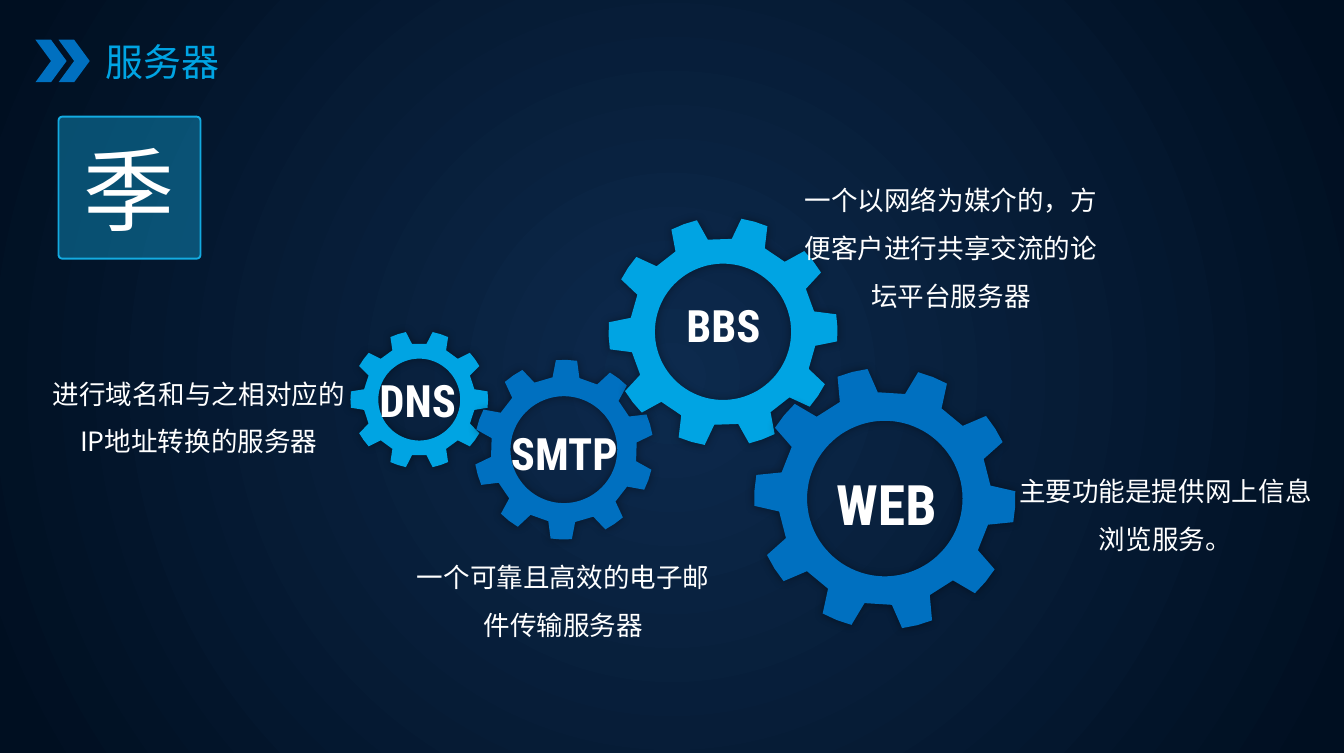
from dataclasses import dataclass
from math import cos, radians, sin

from lxml import etree
from pptx import Presentation
from pptx.dml.color import RGBColor
from pptx.enum.shapes import MSO_SHAPE
from pptx.enum.text import MSO_ANCHOR, PP_ALIGN
from pptx.oxml.ns import qn
from pptx.util import Cm, Pt

CHEVRON = MSO_SHAPE.CHEVRON
ROUNDED = MSO_SHAPE.ROUNDED_RECTANGLE
MIDDLE = MSO_ANCHOR.MIDDLE
LEFT = PP_ALIGN.LEFT
CENTER = PP_ALIGN.CENTER


@dataclass(frozen=True)
class Theme:
    glow: str = "0D2A4D"
    night: str = "000F21"
    sky: str = "00A4E3"
    blue: str = "0070C0"
    cyan: str = "13ABE1"
    white: str = "FFFFFF"
    black: str = "000000"
    label_font: str = "Roboto Condensed"
    title_font: str = "Arial"
    body_font: str = "Noto Sans CJK SC"
    body_size: float = 14
    title_size: float = 20
    label_size: float = 23.5
    large_label_size: float = 29.4
    badge_size: float = 48


THEME = Theme()

TEETH = 10
ROOT_RATIO = 0.815
HOLE_RATIO = 0.595
TIP_HALF_ANGLE = 6.8
ROOT_HALF_ANGLE = 10.6

GEARS = [
    (7.8, 7.43, 1.28, 0, THEME.sky),
    (10.49, 8.36, 1.67, 19.7, THEME.blue),
    (13.45, 6.17, 2.13, -2, THEME.sky),
    (16.46, 9.27, 2.43, 3.6, THEME.blue),
]
LABELS = [
    ("DNS", 5.51, 6.81, 4.52, THEME.label_size),
    ("SMTP", 8.1, 7.8, 4.8, THEME.label_size),
    ("BBS", 11.3, 5.41, 4.32, THEME.label_size),
    ("WEB", 14.71, 8.61, 3.56, THEME.large_label_size),
]
DESCRIPTIONS = [
    ("进行域名和与之相对应的IP地址转换的服务器", 0.51, 6.6, 2.03),
    ("一个可靠且高效的电子邮件传输服务器", 7.29, 10.01, 2.03),
    ("一个以网络为媒介的，方便客户进行共享交流的论坛平台服务器", 14.5, 3.0, 2.92),
    ("主要功能是提供网上信息浏览服务。", 18.49, 8.41, 2.03),
]


def paint_background(page):
    fill = page.background.fill
    fill.gradient()
    for stop, position, color in zip(fill.gradient_stops, (0, 0.97), (THEME.glow, THEME.night)):
        stop.position = position
        stop.color.rgb = RGBColor.from_string(color)
    gradient = page.element.find(".//" + qn("a:gradFill"))
    gradient.remove(gradient.find(qn("a:lin")))
    circle = etree.SubElement(gradient, qn("a:path"), path="circle")
    etree.SubElement(circle, qn("a:fillToRect"), l="50000", t="50000", r="50000", b="50000")


def paint_shape(shape, color):
    shape.shadow.inherit = False
    shape.fill.solid()
    shape.fill.fore_color.rgb = RGBColor.from_string(color)
    shape.line.fill.background()


def add_soft_shadow(shape):
    effects = shape.element.spPr.find(qn("a:effectLst"))
    shadow = etree.SubElement(
        effects, qn("a:outerShdw"), blurRad=str(Pt(5)), dist="0", dir="0", algn="ctr", rotWithShape="0"
    )
    color = etree.SubElement(shadow, qn("a:srgbClr"), val=THEME.black)
    etree.SubElement(color, qn("a:alpha"), val="40000")


def add_gear(page, x, y, radius, turn, color):
    def point(ratio, angle):
        reach = radius * ratio
        return Cm(x + reach * cos(radians(angle))), Cm(y + reach * sin(radians(angle)))

    tooth = [
        (ROOT_RATIO, -ROOT_HALF_ANGLE),
        (1, -TIP_HALF_ANGLE),
        (1, 0),
        (1, TIP_HALF_ANGLE),
        (ROOT_RATIO, ROOT_HALF_ANGLE),
    ]
    outline = [
        point(ratio, turn + index * 360 / TEETH + offset)
        for index in range(TEETH)
        for ratio, offset in tooth
    ]
    hole = [point(HOLE_RATIO, -angle) for angle in range(0, 360, 4)]
    builder = page.shapes.build_freeform(*outline[0])
    builder.add_line_segments(outline[1:], close=True)
    builder.move_to(*hole[0])
    builder.add_line_segments(hole[1:], close=True)
    gear = builder.convert_to_shape()
    paint_shape(gear, color)
    add_soft_shadow(gear)


def write_text(frame, text, font, size, color, align=CENTER, bold=False, spacing=None):
    para = frame.paragraphs[0]
    para.alignment = align
    if spacing:
        para.line_spacing = spacing
    span = para.add_run()
    span.text = text
    span.font.name = font
    span.font.size = Pt(size)
    span.font.bold = bold
    span.font.color.rgb = RGBColor.from_string(color)
    etree.SubElement(span.font._element, qn("a:ea"), typeface=THEME.body_font)


def add_text(page, text, left, top, width, height, font, size, color=THEME.white, **style):
    box = page.shapes.add_textbox(Cm(left), Cm(top), Cm(width), Cm(height))
    box.text_frame.word_wrap = True
    write_text(box.text_frame, text, font, size, color, **style)
    return box


def add_title(page):
    box = add_text(page, "服务器", 1.78, 0.61, 6.32, 1.09,
                   THEME.title_font, THEME.title_size, THEME.sky, align=LEFT)
    frame = box.text_frame
    frame.margin_left = frame.margin_right = Cm(0.18)
    frame.margin_top = frame.margin_bottom = Cm(0.1)
    for left in (0.66, 1.09):
        chevron = page.shapes.add_shape(CHEVRON, Cm(left), Cm(0.74), Cm(0.58), Cm(0.79))
        paint_shape(chevron, THEME.blue)


def add_badge(page):
    badge = page.shapes.add_shape(ROUNDED, Cm(1.09), Cm(2.17), Cm(2.64), Cm(2.64))
    badge.adjustments[0] = 0.026
    paint_shape(badge, THEME.cyan)
    color = badge.element.spPr.find(qn("a:solidFill")).find(qn("a:srgbClr"))
    etree.SubElement(color, qn("a:alpha"), val="40000")
    badge.line.color.rgb = RGBColor.from_string(THEME.cyan)
    badge.line.width = Pt(1)
    badge.text_frame.vertical_anchor = MIDDLE
    write_text(badge.text_frame, "季", THEME.body_font, THEME.badge_size, THEME.white)


def main():
    deck = Presentation()
    deck.slide_width = Cm(25)
    deck.slide_height = Cm(14)
    page = deck.slides.add_slide(deck.slide_layouts[6])
    paint_background(page)
    for gear in GEARS:
        add_gear(page, *gear)
    for text, left, top, width, size in LABELS:
        add_text(page, text, left, top, width, 1.85, THEME.label_font, size, bold=True)
    add_title(page)
    add_badge(page)
    for text, left, top, height in DESCRIPTIONS:
        add_text(page, text, left, top, 6.38, height, THEME.body_font, THEME.body_size, spacing=1.5)
    deck.save("out.pptx")


if __name__ == "__main__":
    main()
